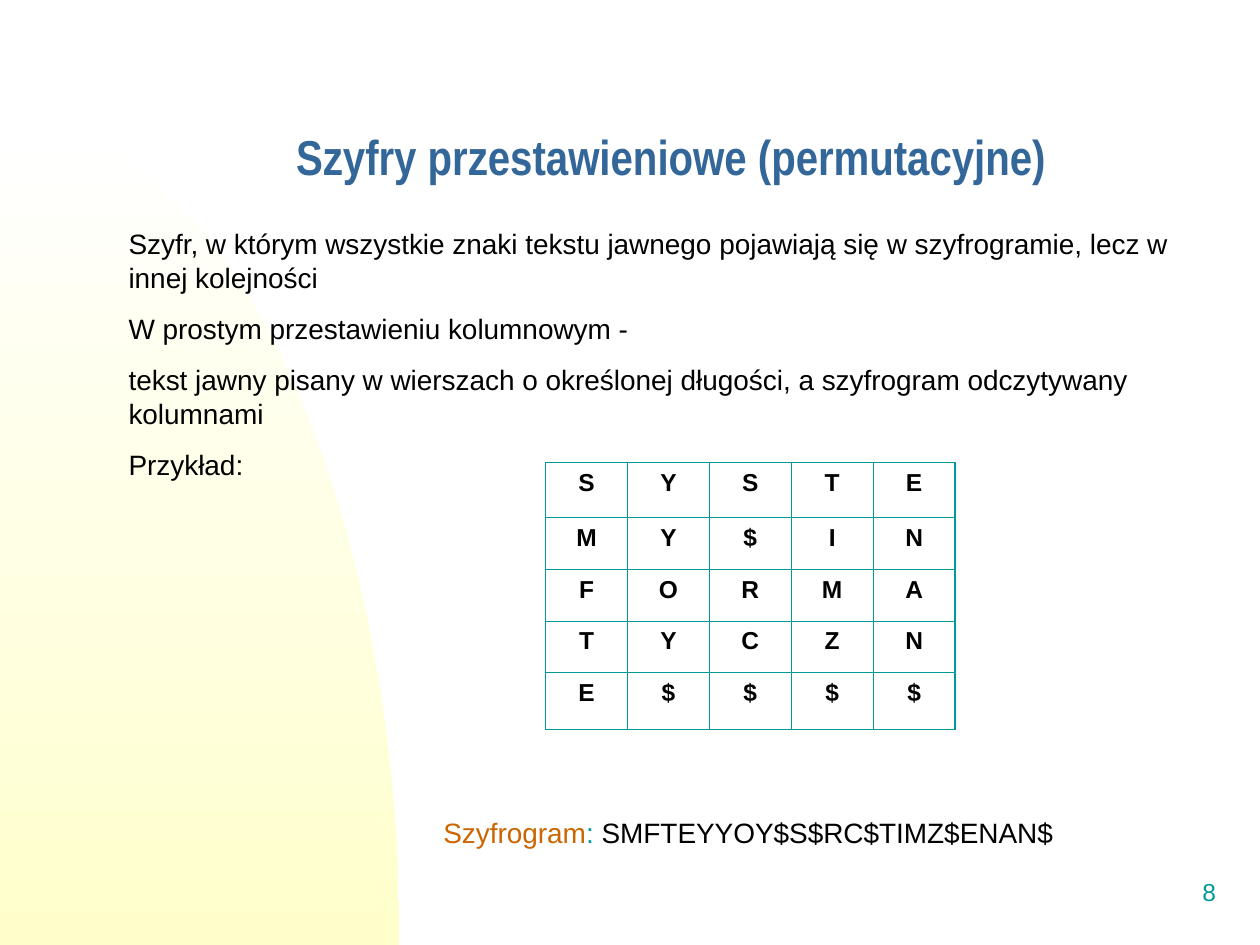
import math

import pptx
import pptx.dml.color
import pptx.enum.text
import pptx.oxml
import pptx.oxml.ns
import pptx.util

Inches = pptx.util.Inches
Pt = pptx.util.Pt
ALIGN = pptx.enum.text.PP_ALIGN
ANCHOR = pptx.enum.text.MSO_ANCHOR

COLORS = {
    "white": "FFFFFF",
    "cream": "FFFFCC",
    "title": "336699",
    "text": "010000",
    "teal": "009999",
    "orange": "CC6600",
}
TITLE = "Szyfry przestawieniowe (permutacyjne)"
DEFINITION = [
    "Szyfr, w którym wszystkie znaki tekstu jawnego pojawiają się w szyfrogramie, lecz w innej kolejności",
    "W prostym przestawieniu kolumnowym -",
    "tekst jawny pisany w wierszach o określonej długości, a szyfrogram odczytywany kolumnami",
    "Przykład:",
]
CIPHER_ROWS = ["SYSTE", "MY$IN", "FORMA", "TYCZN", "E$$$$"]
ROW_HEIGHTS = [0.44, 0.41, 0.41, 0.41, 0.45]
COLUMN_WIDTH = 0.65
OUTER_LINE, INNER_LINE = 1.08, 0.45


def rgb(name):
    return pptx.dml.color.RGBColor.from_string(COLORS[name])


def apply(target, values):
    for name, value in values.items():
        setattr(target, name, value)


def add_span(para, text, color, size, name="Arial", bold=False):
    span = para.add_run()
    span.text = text
    apply(span.font, {"size": Pt(size), "name": name, "bold": bold})
    span.font.color.rgb = rgb(color)


def place(box, left, top, width, height, anchor=ANCHOR.TOP):
    apply(box, {"left": Inches(left), "top": Inches(top),
                "width": Inches(width), "height": Inches(height)})
    apply(box.text_frame, {"word_wrap": True, "vertical_anchor": anchor,
                           "auto_size": pptx.enum.text.MSO_AUTO_SIZE.NONE})


def add_text_box(page, left, top, width, height, spans, size,
                 align=ALIGN.LEFT, anchor=ANCHOR.TOP):
    box = page.shapes.add_textbox(0, 0, 0, 0)
    place(box, left, top, width, height, anchor)
    para = box.text_frame.paragraphs[0]
    para.alignment = align
    for text, color in spans:
        add_span(para, text, color, size)


def add_curve(page, width, top, bottom, steps=60):
    """Draw the gradient quarter ellipse behind everything else."""
    angles = [math.pi / 2 * step / steps for step in range(steps + 1)]
    points = [(Inches(width * math.sin(a)),
               Inches(bottom - (bottom - top) * math.cos(a))) for a in angles]
    builder = page.shapes.build_freeform(*points[0])
    builder.add_line_segments(points[1:] + [(0, Inches(bottom))], close=True)
    curve = builder.convert_to_shape()
    curve.shadow.inherit = False
    curve.line.fill.background()
    curve.fill.gradient()
    curve.fill.gradient_angle = 270
    for stop, color, position in zip(curve.fill.gradient_stops, ("white", "cream"), (0, 1)):
        stop.color.rgb = rgb(color)
        stop.position = position
    page.shapes.element.insert(2, curve.element)


def fill_title(page):
    title = page.shapes.title
    place(title, 2.25, 0.67, 7.5, 1.25, ANCHOR.MIDDLE)
    para = title.text_frame.paragraphs[0]
    apply(para, {"alignment": ALIGN.LEFT, "line_spacing": 0.7})
    add_span(para, TITLE, "title", 28, "Arial Narrow", True)


def fill_body(page):
    body = page.placeholders[1]
    place(body, 0.92, 1.75, 8.5, 2.12)
    for index, text in enumerate(DEFINITION):
        frame = body.text_frame
        para = frame.add_paragraph() if index else frame.paragraphs[0]
        para.space_before = Pt(10 if index else 0)
        properties = para._p.get_or_add_pPr()
        properties.set("marL", "0")
        properties.set("indent", "0")
        pptx.oxml.ns.qn("a:buNone")
        properties.append(pptx.oxml.parse_xml(
            f'<a:buNone {pptx.oxml.ns.nsdecls("a")}/>'))
        add_span(para, text, "text", 16)


def set_borders(cell, widths):
    """Add border lines ahead of the cell fill, in left, right, top, bottom order."""
    properties = cell._tc.get_or_add_tcPr()
    for index, (side, width) in enumerate(zip("LRTB", widths)):
        properties.insert(index, pptx.oxml.parse_xml(
            f'<a:ln{side} {pptx.oxml.ns.nsdecls("a")} w="{int(Pt(width))}">'
            f'<a:solidFill><a:srgbClr val="{COLORS["teal"]}"/></a:solidFill></a:ln{side}>'))


def add_cipher_table(page, left, top):
    last_row, last_column = len(CIPHER_ROWS) - 1, len(CIPHER_ROWS[0]) - 1
    table = page.shapes.add_table(
        last_row + 1, last_column + 1, Inches(left), Inches(top),
        Inches(COLUMN_WIDTH * (last_column + 1)), Inches(sum(ROW_HEIGHTS))).table
    apply(table, {"first_row": False, "horz_banding": False})
    for column in table.columns:
        column.width = Inches(COLUMN_WIDTH)
    for r, letters in enumerate(CIPHER_ROWS):
        table.rows[r].height = Inches(ROW_HEIGHTS[r])
        for c, letter in enumerate(letters):
            cell = table.cell(r, c)
            cell.fill.background()
            edges = (c == 0, c == last_column, r == 0, r == last_row)
            set_borders(cell, [OUTER_LINE if edge else INNER_LINE for edge in edges])
            para = cell.text_frame.paragraphs[0]
            para.alignment = ALIGN.CENTER
            add_span(para, letter, "text", 14, bold=True)


def main():
    deck = pptx.Presentation()
    apply(deck, {"slide_width": Inches(10), "slide_height": Inches(7.5)})
    page = deck.slides.add_slide(deck.slide_layouts[1])
    add_curve(page, 3.17, 0.92, 7.5)
    add_text_box(page, 7.67, 6.83, 2.08, 0.5, [("8", "teal")], 14,
                 ALIGN.RIGHT, ANCHOR.MIDDLE)
    fill_title(page)
    fill_body(page)
    add_cipher_table(page, 4.33, 3.67)
    ciphertext = "".join("".join(column) for column in zip(*CIPHER_ROWS))
    add_text_box(page, 3.42, 6.42, 5.58, 0.37,
                 [("Szyfrogram", "orange"), (": ", "teal"), (ciphertext, "text")], 16)
    deck.save("out.pptx")


if __name__ == "__main__":
    main()
